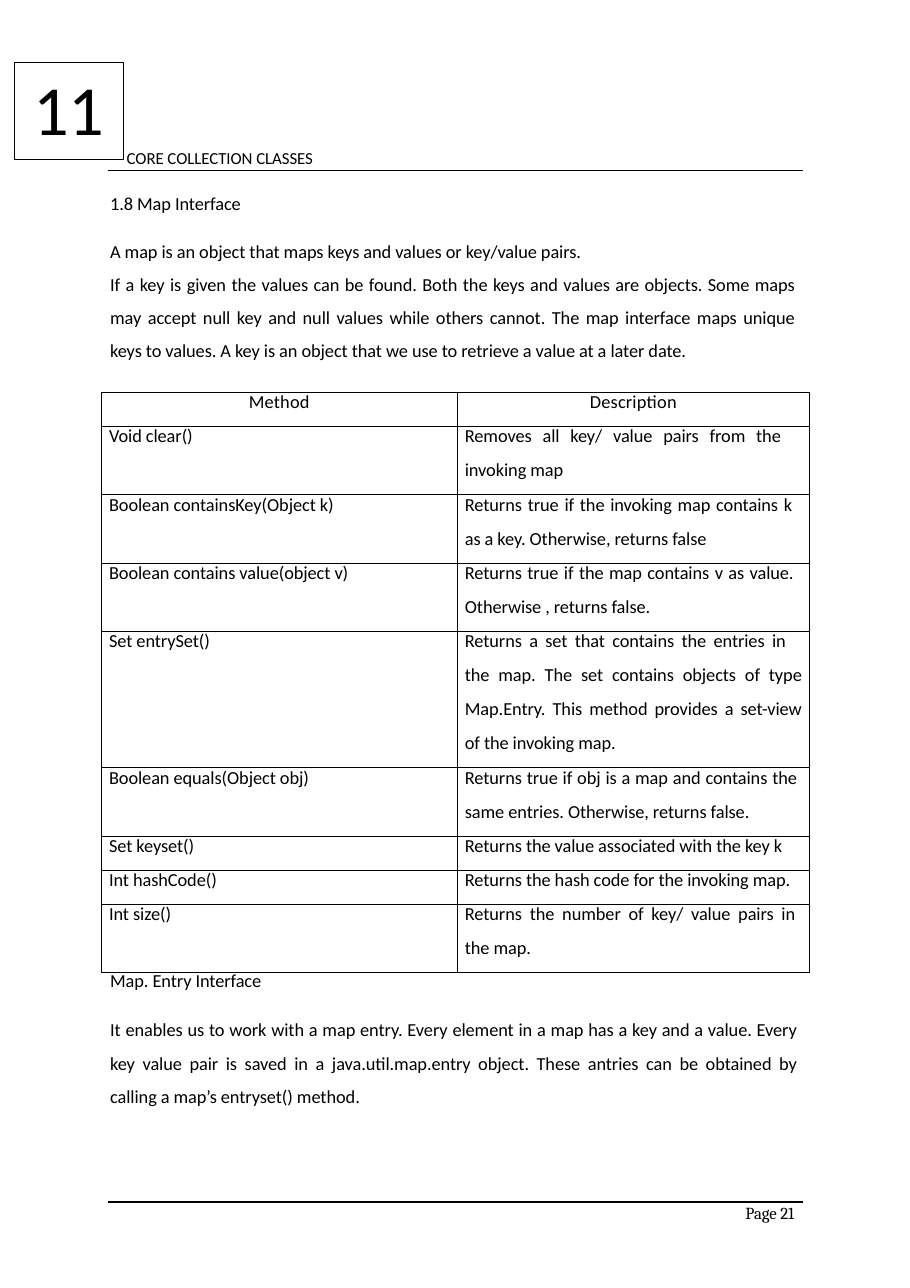
from lxml.etree import SubElement
from pptx import Presentation
from pptx.dml.color import RGBColor
from pptx.enum.shapes import MSO_CONNECTOR, MSO_SHAPE
from pptx.enum.text import MSO_ANCHOR, PP_ALIGN
from pptx.oxml.ns import qn
from pptx.util import Inches, Pt

BLACK = "000000"
COLUMN_WIDTHS = [3.23, 3.2]
LINE_HEIGHT = 0.31
METHODS = [
    ("Void clear()", "Removes all key/ value pairs from the", "invoking map", 4.3, 2),
    ("Boolean containsKey(Object k)", "Returns true if the invoking map contains k",
     "as a key. Otherwise, returns false", 1, 2),
    ("Boolean contains value(object v)", "Returns true if the map contains v as value.",
     "Otherwise , returns false.", 0.8, 2),
    ("Set entrySet()", "Returns a set that contains the entries in",
     "the map. The set contains objects of type Map.Entry. This method provides "
     "a set-view of the invoking map.", 2, 4),
    ("Boolean equals(Object obj)", "Returns true if obj is a map and contains the",
     "same entries. Otherwise, returns false.", 0.4, 2),
    ("Set keyset()", "Returns the value associated with the key k", "", 0, 1),
    ("Int hashCode()", "Returns the hash code for the invoking map.", "", 0, 1),
    ("Int size()", "Returns the number of key/ value pairs in", "the map.", 2.3, 2),
]


def color(value):
    return RGBColor.from_string(value)


def add_text(frame, text, size=12, font="Calibri", align=PP_ALIGN.LEFT,
             before=0, line=None, tracking=-0.05, word_gap=0):
    paragraph = frame.paragraphs[0]
    if paragraph.runs:
        paragraph = frame.add_paragraph()
    paragraph.alignment = align
    paragraph.space_before = Pt(before)
    if line:
        paragraph.line_spacing = line
    pieces = text.replace(" ", "\n \n").split("\n") if word_gap else [text]
    for piece in pieces:
        run = paragraph.add_run()
        run.text = piece
        run.font.size = Pt(size)
        run.font.name = font
        run.font.color.rgb = color(BLACK)
        spacing = word_gap if piece == " " else tracking
        run.font._element.set("spc", str(round(spacing * 100)))


def set_margins(target, left=0, top=0, right=0):
    target.margin_left = Inches(left)
    target.margin_top = Inches(top)
    target.margin_right = Inches(right)
    target.margin_bottom = 0


def add_text_box(slide, left, top, width, height, right=0):
    box = slide.shapes.add_textbox(Inches(left), Inches(top), Inches(width), Inches(height))
    frame = box.text_frame
    frame.word_wrap = True
    set_margins(frame, left=0.01, top=0.01, right=right)
    return frame


def add_rule(slide, left, top, width):
    rule = slide.shapes.add_connector(
        MSO_CONNECTOR.STRAIGHT, Inches(left), Inches(top), Inches(left + width), Inches(top))
    rule.line.color.rgb = color(BLACK)
    rule.line.width = Pt(0.75)
    SubElement(rule._element.spPr, qn("a:effectLst"))


def add_chapter_number(slide, left, top, width, height):
    shape = slide.shapes.add_shape(
        MSO_SHAPE.RECTANGLE, Inches(left), Inches(top), Inches(width), Inches(height))
    shape.shadow.inherit = False
    shape.fill.background()
    shape.line.color.rgb = color(BLACK)
    shape.line.width = Pt(0.75)
    set_margins(shape.text_frame, left=0.17, top=0.02)
    shape.text_frame.vertical_anchor = MSO_ANCHOR.TOP
    add_text(shape.text_frame, "11", size=46, before=1.8)


def add_header(slide, left, top, width):
    add_chapter_number(slide, left - 0.85, top - 0.98, 0.99, 0.88)
    title = add_text_box(slide, left + 0.16, top - 0.22, 1.9, 0.21)
    add_text(title, "CORE COLLECTION CLASSES", size=11, before=1)
    add_rule(slide, left, top, width)


def add_footer(slide, left, top, width):
    add_rule(slide, left, top, width)
    page = add_text_box(slide, left + width - 0.95, top, 0.95, 0.21, right=0.08)
    add_text(page, "Page 21", size=11, font="Cambria", align=PP_ALIGN.RIGHT, before=0.5)


def add_map_interface(slide, left, top, width, height):
    frame = add_text_box(slide, left, top, width, height, right=0.07)
    add_text(frame, "1.8 Map Interface", before=1)
    add_text(frame, "A map is an object that maps keys and values or key/value pairs.",
             before=17.4)
    add_text(frame, "If a key is given the values can be found. Both the keys and values are "
             "objects. Some maps may accept null key and null values while others cannot. "
             "The map interface maps unique keys to values. A key is an object that we use "
             "to retrieve a value at a later date.", align=PP_ALIGN.JUSTIFY, line=1.5)


def add_map_entry(slide, left, top, width, height):
    frame = add_text_box(slide, left, top, width, height, right=0.05)
    add_text(frame, "Map. Entry Interface", before=1)
    add_text(frame, "It enables us to work with a map entry. Every element in a map has a key "
             "and a value. Every key value pair is saved in a java.util.map.entry object. "
             "These antries can be obtained by calling a map’s entryset() method.",
             align=PP_ALIGN.JUSTIFY, before=10.1, line=1.52)


def format_cell(cell, indent):
    set_margins(cell, left=indent, right=indent)
    cell.fill.background()
    properties = cell._tc.get_or_add_tcPr()
    for position, side in enumerate(["a:lnL", "a:lnR", "a:lnT", "a:lnB"]):
        border = SubElement(properties, qn(side), w=str(Pt(0.5)))
        fill = SubElement(border, qn("a:solidFill"))
        SubElement(fill, qn("a:srgbClr"), val=BLACK)
        properties.remove(border)
        properties.insert(position, border)


def add_methods_table(slide, left, top):
    line_counts = [1] + [method[-1] for method in METHODS]
    table = slide.shapes.add_table(
        len(line_counts), 2, Inches(left), Inches(top), Inches(sum(COLUMN_WIDTHS)),
        Inches(LINE_HEIGHT * sum(line_counts))).table
    table.first_row = False
    table.horz_banding = False
    for column, width in zip(table.columns, COLUMN_WIDTHS):
        column.width = Inches(width)
    for row, lines in zip(table.rows, line_counts):
        row.height = Inches(LINE_HEIGHT * lines)
    for cell in table.iter_cells():
        format_cell(cell, 0.07)
    for index, heading in enumerate(["Method", "Description"]):
        add_text(table.cell(0, index).text_frame, heading, align=PP_ALIGN.CENTER,
                 line=Pt(14.1), tracking=0.1)
    for index, (method, opening, rest, word_gap, lines) in enumerate(METHODS, 1):
        add_text(table.cell(index, 0).text_frame, method, line=Pt(14.1))
        description = table.cell(index, 1).text_frame
        add_text(description, opening, line=Pt(14.1), word_gap=word_gap)
        if rest:
            add_text(description, rest, align=PP_ALIGN.JUSTIFY, line=1.52)


presentation = Presentation()
presentation.slide_width = Inches(8.26)
presentation.slide_height = Inches(11.69)
page_slide = presentation.slides.add_slide(presentation.slide_layouts[6])
add_header(page_slide, 0.98, 1.55, 6.31)
add_map_interface(page_slide, 0.99, 1.73, 6.3, 1.59)
add_methods_table(page_slide, 0.92, 3.56)
add_map_entry(page_slide, 0.99, 8.79, 6.3, 1.28)
add_footer(page_slide, 0.98, 10.91, 6.31)
presentation.save("out.pptx")
